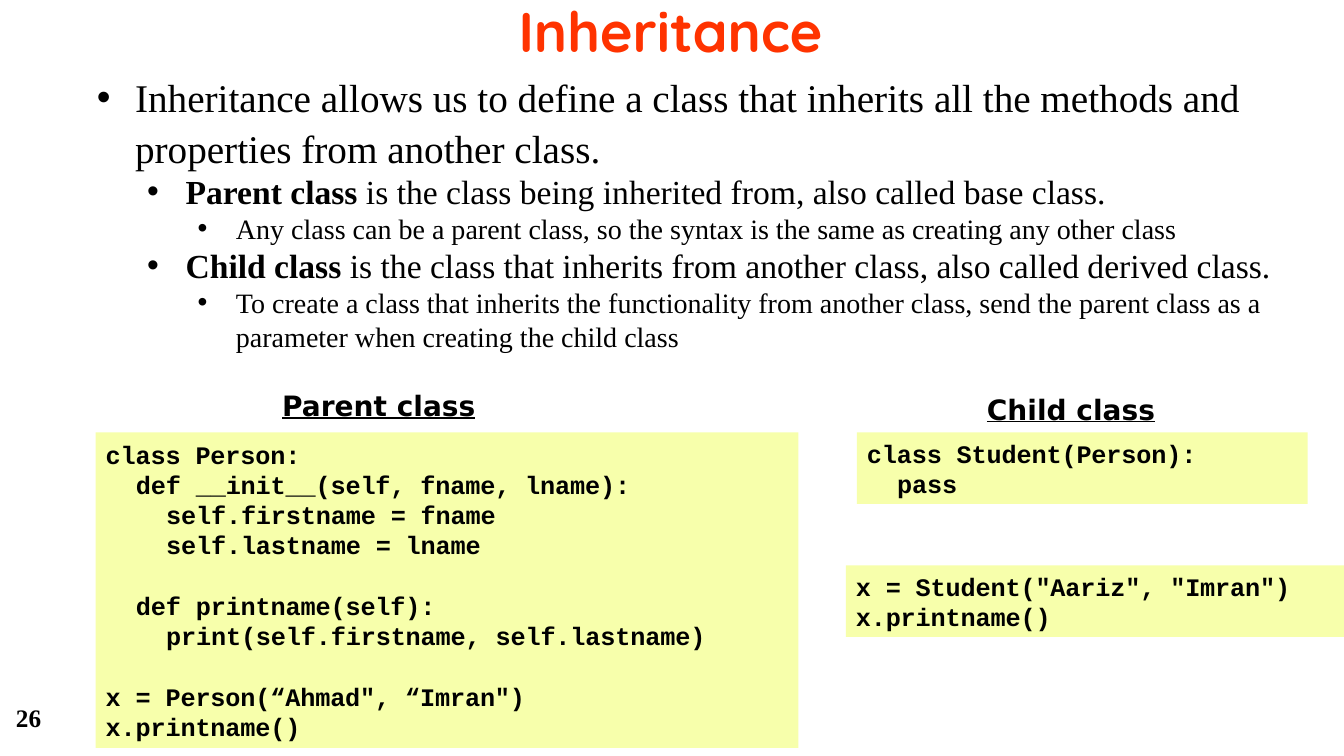
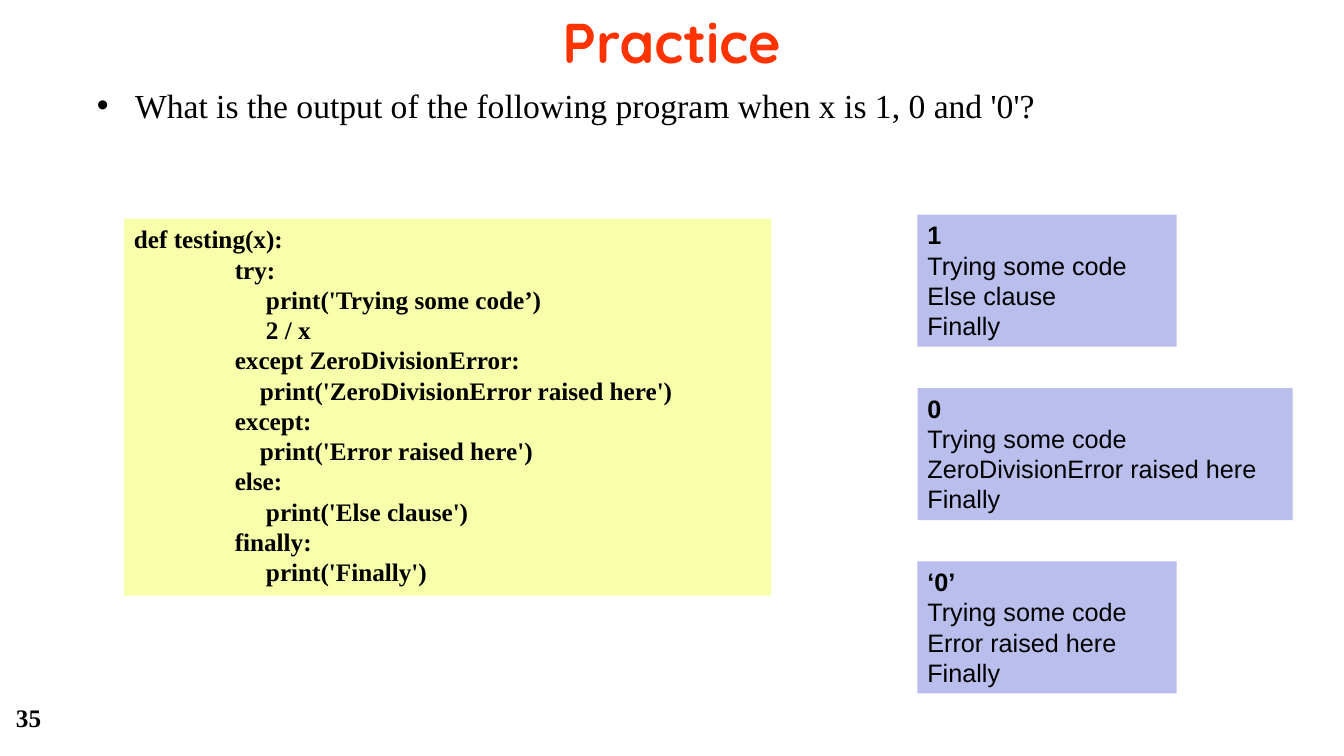
from lxml import etree
from pptx import Presentation
from pptx.dml.color import RGBColor
from pptx.enum import shapes, text
from pptx.oxml import ns
from pptx.util import Inches, Pt

COLORS = {"title": "FF3300", "text": "000000", "code": "F7FFAB", "output": "B9BEEC"}
SERIF, MONO, SANS = "Times New Roman", "Courier New", "Arial"
LABEL_FONT, TITLE_FONT = "DejaVu Sans", "Quicksand"
LINE_FACTOR = 1.2   # line pitch relative to the text size
CODE_SIZE = 18
STEP = 0.3          # two monospaced characters


def place(shape, box):
    shape.left, shape.top, shape.width, shape.height = (Inches(value) for value in box)


def add_span(para, words, size, font, color="text", bold=False):
    span = para.add_run()
    span.text = words
    span.font.size = Pt(size)
    span.font.name = font
    span.font.bold = bold
    span.font.color.rgb = RGBColor.from_string(COLORS[color])
    return span


def set_margins(frame, left, top, right, bottom):
    frame.margin_left, frame.margin_top = Inches(left), Inches(top)
    frame.margin_right, frame.margin_bottom = Inches(right), Inches(bottom)


def next_para(frame, index):
    return frame.paragraphs[0] if index == 0 else frame.add_paragraph()


def set_indent(para, margin, hanging=0):
    properties = para._p.get_or_add_pPr()
    properties.set("marL", str(Inches(margin)))
    properties.set("indent", str(-Inches(hanging)))
    return properties


# Shared page parts: title and page number
def add_page(deck, heading, title_box, number):
    page = deck.slides.add_slide(deck.slide_layouts[1])
    title = page.shapes.title
    place(title, title_box)
    frame = title.text_frame
    set_margins(frame, 0, 0.01, 0, 0)
    frame.auto_size = text.MSO_AUTO_SIZE.NONE
    frame.vertical_anchor = text.MSO_ANCHOR.MIDDLE
    para = frame.paragraphs[0]
    para.alignment = text.PP_ALIGN.CENTER
    para.space_before = Pt(0.9)
    add_span(para, heading, 40, TITLE_FONT, "title", True)
    add_text(page, (0.06, 6.92, 2.78, 0.5), number, CODE_SIZE, SERIF)
    return page


def add_text(page, box, words, size, font, wrap=True):
    holder = page.shapes.add_textbox(*(Inches(value) for value in box))
    holder.text_frame.word_wrap = wrap
    return add_span(holder.text_frame.paragraphs[0], words, size, font, bold=True)


def add_label(page, box, words):
    add_text(page, box, words, 20, LABEL_FONT, wrap=False).font.underline = True


# Bulleted list: items are (level, size, bold lead, rest)
def fill_list(page, box, items):
    body = page.placeholders[1]
    place(body, box)
    frame = body.text_frame
    set_margins(frame, 0, 0.11, 0, 0)
    frame.auto_size = text.MSO_AUTO_SIZE.NONE
    frame.vertical_anchor = text.MSO_ANCHOR.TOP
    for index, (level, size, lead, rest) in enumerate(items):
        para = next_para(frame, index)
        para.level = level
        stretch = 1 if level else 1.08
        para.line_spacing = Pt(round(size * LINE_FACTOR * stretch, 1))
        para.space_before = Pt(0 if level else 0.9)
        properties = set_indent(para, 0.39 + 0.5 * level, 0.38)
        etree.SubElement(properties, ns.qn("a:buFont")).set("typeface", SANS)
        etree.SubElement(properties, ns.qn("a:buChar")).set("char", "•")
        if lead:
            add_span(para, lead, size, SERIF, bold=True)
        add_span(para, rest, size, SERIF)


# Filled panel: lines are (indent, words, blank lines above)
def add_panel(page, box, lines, fill, font, bold_lines, anchor=text.MSO_ANCHOR.TOP):
    panel = page.shapes.add_shape(shapes.MSO_SHAPE.RECTANGLE,
                                  *(Inches(value) for value in box))
    panel.shadow.inherit = False
    panel.fill.solid()
    panel.fill.fore_color.rgb = RGBColor.from_string(COLORS[fill])
    panel.line.fill.background()
    frame = panel.text_frame
    frame.word_wrap = True
    frame.vertical_anchor = anchor
    pitch = CODE_SIZE * LINE_FACTOR
    for index, (indent, words, blanks) in enumerate(lines):
        para = next_para(frame, index)
        para.alignment = text.PP_ALIGN.LEFT
        para.line_spacing = Pt(pitch)
        para.space_before = Pt(pitch * blanks)
        set_indent(para, indent)
        span = add_span(para, words, CODE_SIZE, font, bold=index < bold_lines)
        if font == MONO:
            span.font._element.set("spc", "-10")


def add_code(page, box, lines, font=MONO, anchor=text.MSO_ANCHOR.MIDDLE):
    add_panel(page, box, lines, "code", font, len(lines), anchor)


def add_output(page, box, lines):
    add_panel(page, box, [(0, words, 0) for words in lines], "output", SANS, 1)


def build_inheritance(deck):
    page = add_page(deck, "Inheritance", (2.29, -0.05, 8.72, 0.69), "26")
    fill_list(page, (0.95, 0.58, 12.02, 2.95), [
        (0, 28, "", "Inheritance allows us to define a class that inherits all the "
                    "methods and properties from another class."),
        (1, 24, "Parent class ", "is the class being inherited from, also called base class."),
        (2, 20, "", "Any class can be a parent class, so the syntax is the same as "
                    "creating any other class"),
        (1, 24, "Child class ", "is the class that inherits from another class, "
                                "also called derived class."),
        (2, 20, "", "To create a class that inherits the functionality from another class, "
                    "send the parent class as a parameter when creating the child class"),
    ])
    # Parent class
    add_label(page, (2.7, 3.81, 2.13, 0.44), "Parent class")
    add_code(page, (0.95, 4.29, 6.97, 3.13), [
        (0, "class Person:", 0),
        (STEP, "def __init__(self, fname, lname):", 0),
        (2 * STEP, "self.firstname = fname", 0),
        (2 * STEP, "self.lastname = lname", 0),
        (STEP, "def printname(self):", 1),
        (2 * STEP, "print(self.firstname, self.lastname)", 0),
        (0, "x = Person(“Ahmad\", “Imran\")", 1),
        (0, "x.printname()", 0),
    ])
    # Child class and its use
    add_label(page, (9.69, 3.84, 1.87, 0.44), "Child class")
    add_code(page, (8.5, 4.29, 4.47, 0.71),
             [(0, "class Student(Person):", 0), (STEP, "pass", 0)])
    add_code(page, (8.39, 5.61, 4.94, 0.71),
             [(0, "x = Student(\"Aariz\", \"Imran\")", 0), (0, "x.printname()", 0)])


def build_practice(deck):
    page = add_page(deck, "Practice", (2.3, 0.06, 8.72, 0.69), "35")
    fill_list(page, (0.95, 0.7, 12.26, 0.95), [
        (0, 24, "", "What is the output of the following program when x is 1, 0 and '0'?"),
    ])
    # Program
    block, near, far = 1, 1.25, 1.31
    add_code(page, (1.23, 2.17, 6.42, 3.74), [
        (0, "def testing(x):", 0),
        (block, "try:", 0),
        (far, "print('Trying some code’)", 0),
        (far, "2 / x", 0),
        (block, "except ZeroDivisionError:", 0),
        (near, "print('ZeroDivisionError raised here')", 0),
        (block, "except:", 0),
        (near, "print('Error raised here')", 0),
        (block, "else:", 0),
        (far, "print('Else clause')", 0),
        (block, "finally:", 0),
        (far, "print('Finally')", 0),
    ], SERIF, text.MSO_ANCHOR.TOP)
    # Output for each input
    results = [("1", "Else clause", 2.57),
               ("0", "ZeroDivisionError raised here", 3.72),
               ("‘0’", "Error raised here", 2.57)]
    for index, (value, outcome, width) in enumerate(results):
        add_output(page, (9.1, 2.13 + 1.72 * index, width, 1.31),
                   [value, "Trying some code", outcome, "Finally"])


def main():
    deck = Presentation()
    deck.slide_width, deck.slide_height = Inches(13.33), Inches(7.5)
    build_inheritance(deck)
    build_practice(deck)
    deck.save("out.pptx")


if __name__ == "__main__":
    main()
